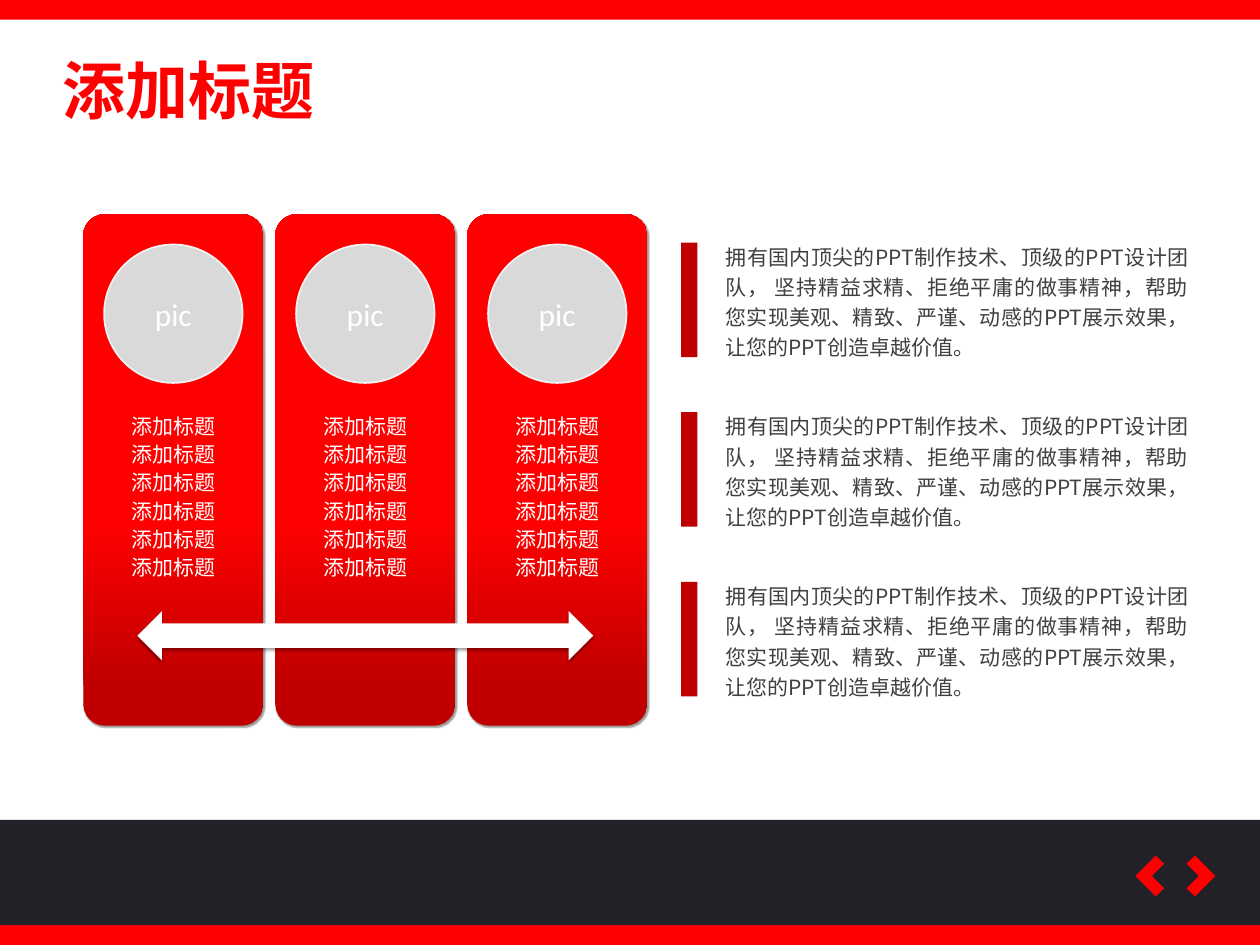
from lxml import etree
from pptx import Presentation
from pptx.dml.color import RGBColor
from pptx.enum.shapes import MSO_SHAPE as SHAPE
from pptx.enum.text import MSO_ANCHOR as ANCHOR, MSO_AUTO_SIZE as FIT, PP_ALIGN as ALIGN
from pptx.oxml import parse_xml
from pptx.oxml.ns import nsdecls, qn
from pptx.util import Cm, Pt

COLORS = {
    "red": "FF0000",
    "dark_red": "C00000",
    "navy": "222127",
    "grey": "D9D9D9",
    "ring": "F2F2F2",
    "text": "404040",
    "white": "FFFFFF",
    "shadow": "000000",
}
CJK = "Noto Sans CJK SC"
TITLE = "添加标题"
BODY = (
    "拥有国内顶尖的PPT制作技术、顶级的PPT设计团队， 坚持精益求精、拒绝平庸的做事精神，"
    "帮助您实现美观、精致、严谨、动感的PPT展示效果，让您的PPT创造卓越价值。"
)
TITLE_FORMAT = {"size": Pt(36), "bold": True, "name": CJK}
TEXT_FORMAT = {"size": Pt(12), "name": CJK}
PIC_FORMAT = {"size": Pt(18), "name": "Calibri"}
CHEVRON = ((-0.41, 0), (0, -0.41), (0.17, -0.25), (-0.08, 0), (0.17, 0.25), (0, 0.41))


def rgb(name):
    return RGBColor.from_string(COLORS[name])


def paint(sp, fill, line=None):
    sp.shadow.inherit = False
    sp.fill.solid()
    sp.fill.fore_color.rgb = rgb(fill)
    if line:
        sp.line.color.rgb = rgb(line)
        sp.line.width = Pt(1)
    else:
        sp.line.fill.background()
    return sp


def add_shape(s, kind, box, fill, line=None):
    return paint(s.shapes.add_shape(kind, *map(Cm, box)), fill, line)


def add_chevron(s, x, y, direction):
    points = [(Cm(x + direction * dx), Cm(y + dy)) for dx, dy in CHEVRON]
    builder = s.shapes.build_freeform(*points[0])
    builder.add_line_segments(points[1:], close=True)
    paint(builder.convert_to_shape(), "red")


def write(tf, text, color, formats, align=ALIGN.LEFT, spacing=None):
    p = tf.paragraphs[0]
    p.alignment = align
    if spacing:
        p.line_spacing = spacing
    r = p.add_run()
    r.text = text
    for key, value in formats.items():
        setattr(r.font, key, value)
    r.font.color.rgb = rgb(color)
    etree.SubElement(r.font._element, qn("a:ea"), typeface=formats["name"])


def add_text(s, box, text, color, formats, align=ALIGN.LEFT, spacing=None, wrap=True):
    tf = s.shapes.add_textbox(*map(Cm, box)).text_frame
    tf.word_wrap = wrap
    tf.auto_size = FIT.SHAPE_TO_FIT_TEXT
    write(tf, text, color, formats, align, spacing)


def set_gradient(sp, stops, degrees):
    stop_xml = "".join(
        f'<a:gs pos="{pos * 1000}"><a:srgbClr val="{COLORS[name]}"/></a:gs>'
        for pos, name in stops
    )
    gradient = parse_xml(
        f'<a:gradFill {nsdecls("a")} rotWithShape="1"><a:gsLst>{stop_xml}</a:gsLst>'
        f'<a:lin ang="{degrees * 60000}" scaled="0"/></a:gradFill>'
    )
    props = sp._element.spPr
    props.replace(props.find(qn("a:solidFill")), gradient)


def set_shadow(sp, blur, distance, degrees):
    effects = sp._element.spPr.find(qn("a:effectLst"))
    effects.append(parse_xml(
        f'<a:outerShdw {nsdecls("a")} blurRad="{Pt(blur)}" dist="{Pt(distance)}" '
        f'dir="{degrees * 60000}" algn="ctr" rotWithShape="0">'
        f'<a:srgbClr val="{COLORS["shadow"]}"><a:alpha val="40000"/></a:srgbClr></a:outerShdw>'
    ))


def add_footer(s, x, y, w, h):
    add_shape(s, SHAPE.RECTANGLE, (x, y + h - 0.4, w, 0.4), "red")
    add_shape(s, SHAPE.RECTANGLE, (x, y, w, h - 0.4), "navy")
    for dx, direction in ((23.3, 1), (24.09, -1)):
        add_chevron(s, x + dx, y + 1.13, direction)


def add_header(s, x, y, w, h):
    add_shape(s, SHAPE.RECTANGLE, (x, y, w, 0.4), "red")
    add_text(s, (x + 1.02, y + 0.91, 5.64, h - 0.91), TITLE, "red", TITLE_FORMAT, wrap=False)


def add_card(s, x, y, w, h):
    card = add_shape(s, SHAPE.ROUNDED_RECTANGLE, (x, y, w, h), "red")
    card.adjustments[0] = 0.12
    set_gradient(card, ((0, "dark_red"), (8, "dark_red"), (40, "red")), 270)
    set_shadow(card, 1, 1, 45)

    size = 2.79
    circle = add_shape(s, SHAPE.OVAL, (x + (w - size) / 2, y + 0.61, size, size), "grey", "ring")
    circle.text_frame.vertical_anchor = ANCHOR.MIDDLE
    write(circle.text_frame, "pic", "white", PIC_FORMAT, ALIGN.CENTER)

    label_w = 2.57
    for row in range(6):
        box = (x + (w - label_w) / 2, y + 3.89 + row * 0.57, label_w, 0.76)
        add_text(s, box, TITLE, "white", TEXT_FORMAT, ALIGN.CENTER)


def add_cards(s, x, y, w, h):
    card_w = 3.63
    pitch = (w - card_w) / 2
    for col in range(3):
        add_card(s, x + col * pitch, y, card_w, h)
    arrow = add_shape(s, SHAPE.LEFT_RIGHT_ARROW, (x + 1.09, y + 8, 9.19, 0.99), "white")
    set_shadow(arrow, 2, 1, 90)


def add_descriptions(s, x, y, w, h):
    text_h = 2.72
    pitch = (h - text_h) / 2
    for row in range(3):
        top = y + row * pitch
        add_shape(s, SHAPE.RECTANGLE, (x, top + 0.19, 0.33, 2.31), "dark_red")
        add_text(s, (x + 0.65, top, w - 0.65, text_h), BODY, "text", TEXT_FORMAT,
                 ALIGN.JUSTIFY, 1.2)


def main():
    prs = Presentation()
    prs.slide_width, prs.slide_height = Cm(25.4), Cm(19.05)
    s = prs.slides.add_slide(prs.slide_layouts[6])
    add_footer(s, 0, 16.53, 25.4, 2.52)
    add_cards(s, 1.68, 4.32, 11.37, 10.31)
    add_descriptions(s, 13.73, 4.7, 10.48, 9.56)
    add_header(s, 0, 0, 25.4, 2.72)
    prs.save("out.pptx")


if __name__ == "__main__":
    main()
